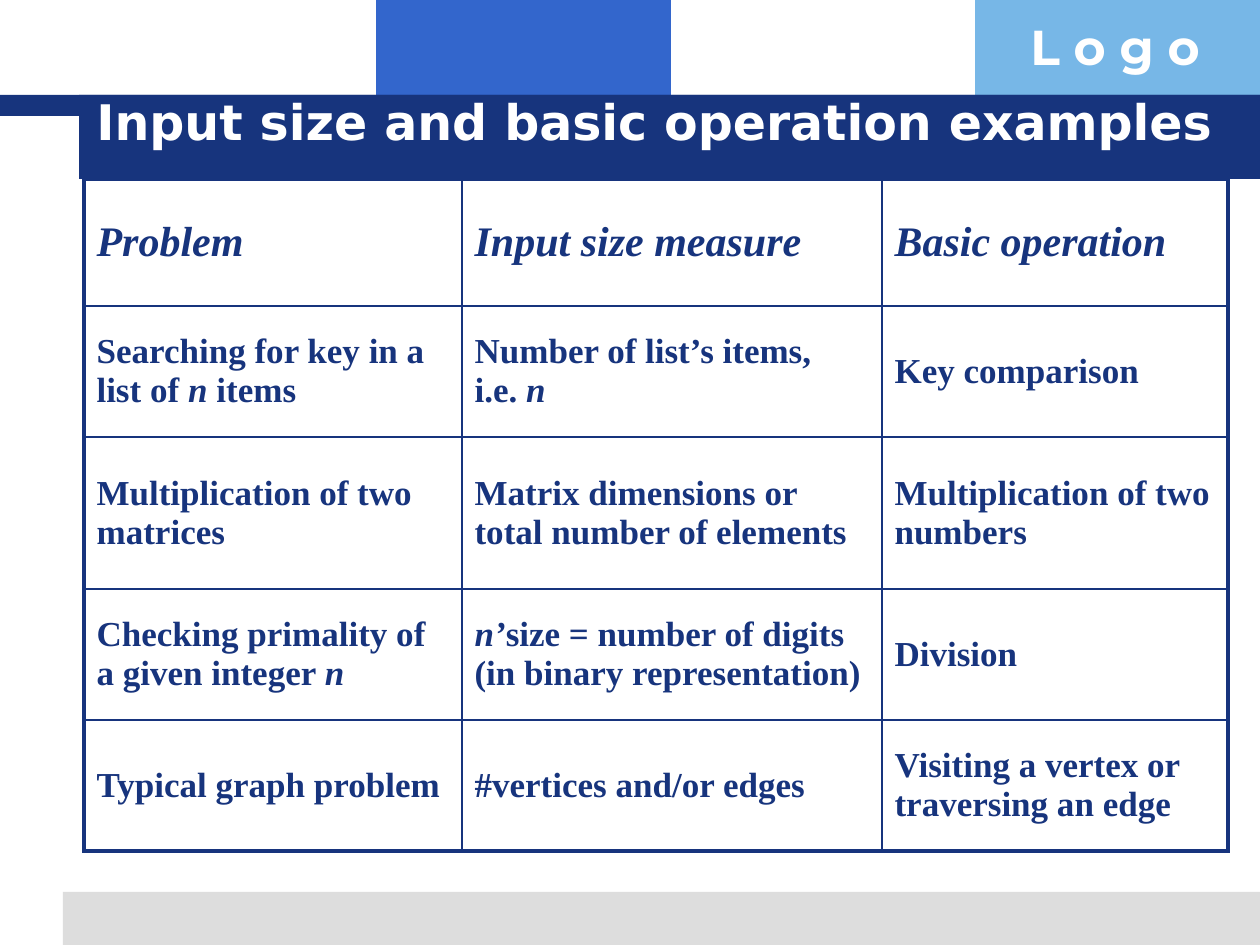
from lxml.etree import SubElement
from pptx import Presentation
from pptx.dml.color import RGBColor
from pptx.enum.shapes import MSO_SHAPE
from pptx.enum.text import MSO_ANCHOR
from pptx.oxml.ns import qn
from pptx.util import Pt

EMU_PER_PX = 914400 / 126

NAVY = RGBColor(0x17, 0x34, 0x7D)
BLUE = RGBColor(0x33, 0x66, 0xCC)
SKY = RGBColor(0x77, 0xB7, 0xE7)
GREY = RGBColor(0xDD, 0xDD, 0xDD)
WHITE = RGBColor(0xFF, 0xFF, 0xFF)

# Text between asterisks is italic
HEADINGS = ["*Problem*", "*Input size measure*", "*Basic operation*"]
EXAMPLES = [
    ["Searching for key in a list of *n* items",
     "Number of list’s items,\vi.e. *n*",
     "Key comparison"],
    ["Multiplication of two matrices",
     "Matrix dimensions or total number of elements",
     "Multiplication of two numbers"],
    ["Checking primality of a given integer *n*",
     "*n’*size = number of digits (in binary representation)",
     "Division"],
    ["Typical graph problem",
     "#vertices and/or edges",
     "Visiting a vertex or traversing an edge"],
]


def px(length):
    return round(length * EMU_PER_PX)


class SlideBuilder:
    body_font = "Times New Roman"
    thin, thick = 1, 2.25

    def __init__(self, slide):
        self.slide = slide

    def block(self, left, top, width, height, color):
        block = self.slide.shapes.add_shape(
            MSO_SHAPE.RECTANGLE, px(left), px(top), px(width), px(height))
        block.shadow.inherit = False
        block.fill.solid()
        block.fill.fore_color.rgb = color
        block.line.fill.background()

    def style(self, font, name, size, color):
        font.name = name
        font.size = Pt(size)
        font.bold = True
        font.color.rgb = color

    def label(self, left, top, width, height, text, font_name, anchor):
        frame = self.slide.shapes.add_textbox(
            px(left), px(top), px(width), px(height)).text_frame
        frame.word_wrap = True
        frame.vertical_anchor = anchor
        frame.text = text
        self.style(frame.paragraphs[0].runs[0].font, font_name, 28, WHITE)

    def border(self, cell, side, points):
        line = SubElement(cell._tc.get_or_add_tcPr(), qn(f"a:ln{side}"),
                          w=str(Pt(points)))
        fill = SubElement(line, qn("a:solidFill"))
        SubElement(fill, qn("a:srgbClr"), val=str(NAVY))

    def cell(self, cell, text, size, edges):
        cell.vertical_anchor = MSO_ANCHOR.MIDDLE
        paragraph = cell.text_frame.paragraphs[0]
        first, *others = text.split("*")
        paragraph.text = first
        for index, piece in enumerate(others):
            if piece:
                run = paragraph.add_run()
                run.text = piece
                run.font.italic = index % 2 == 0
        for run in paragraph.runs:
            self.style(run.font, self.body_font, size, NAVY)
        # Borders come before the fill in the cell properties
        for side, outer in edges.items():
            self.border(cell, side, self.thick if outer else self.thin)
        cell.fill.background()

    def table(self, left, top, widths, heights, rows):
        table = self.slide.shapes.add_table(
            len(heights), len(widths), px(left), px(top),
            px(sum(widths)), px(sum(heights))).table
        table.first_row = table.horz_banding = False
        for column, width in zip(table.columns, widths):
            column.width = px(width)
        for row, height in zip(table.rows, heights):
            row.height = px(height)
        for r, texts in enumerate(rows):
            for c, text in enumerate(texts):
                edges = {"L": c == 0, "R": c == len(widths) - 1,
                         "T": r == 0, "B": r == len(heights) - 1}
                self.cell(table.cell(r, c), text, 20 if r else 24, edges)


def main():
    deck = Presentation()
    deck.slide_width, deck.slide_height = px(1260), px(945)
    builder = SlideBuilder(deck.slides.add_slide(deck.slide_layouts[6]))

    # Header and footer blocks
    builder.block(376, 0, 295, 116, BLUE)
    builder.block(975, 0, 285, 116, SKY)
    builder.block(63, 892, 1197, 53, GREY)
    builder.block(0, 95, 1260, 21, NAVY)
    builder.block(79, 95, 1181, 84, NAVY)

    # Logo wording and title
    builder.label(1018, 10, 242, 72, "L o g o", "Montserrat", MSO_ANCHOR.TOP)
    builder.label(84, 73, 1176, 95, "Input size and basic operation examples",
                  "DejaVu Sans", MSO_ANCHOR.MIDDLE)

    # Table of examples
    builder.table(84, 179, [378, 420, 346], [127, 131, 152, 131, 131],
                  [HEADINGS, *EXAMPLES])

    deck.save("out.pptx")


if __name__ == "__main__":
    main()
